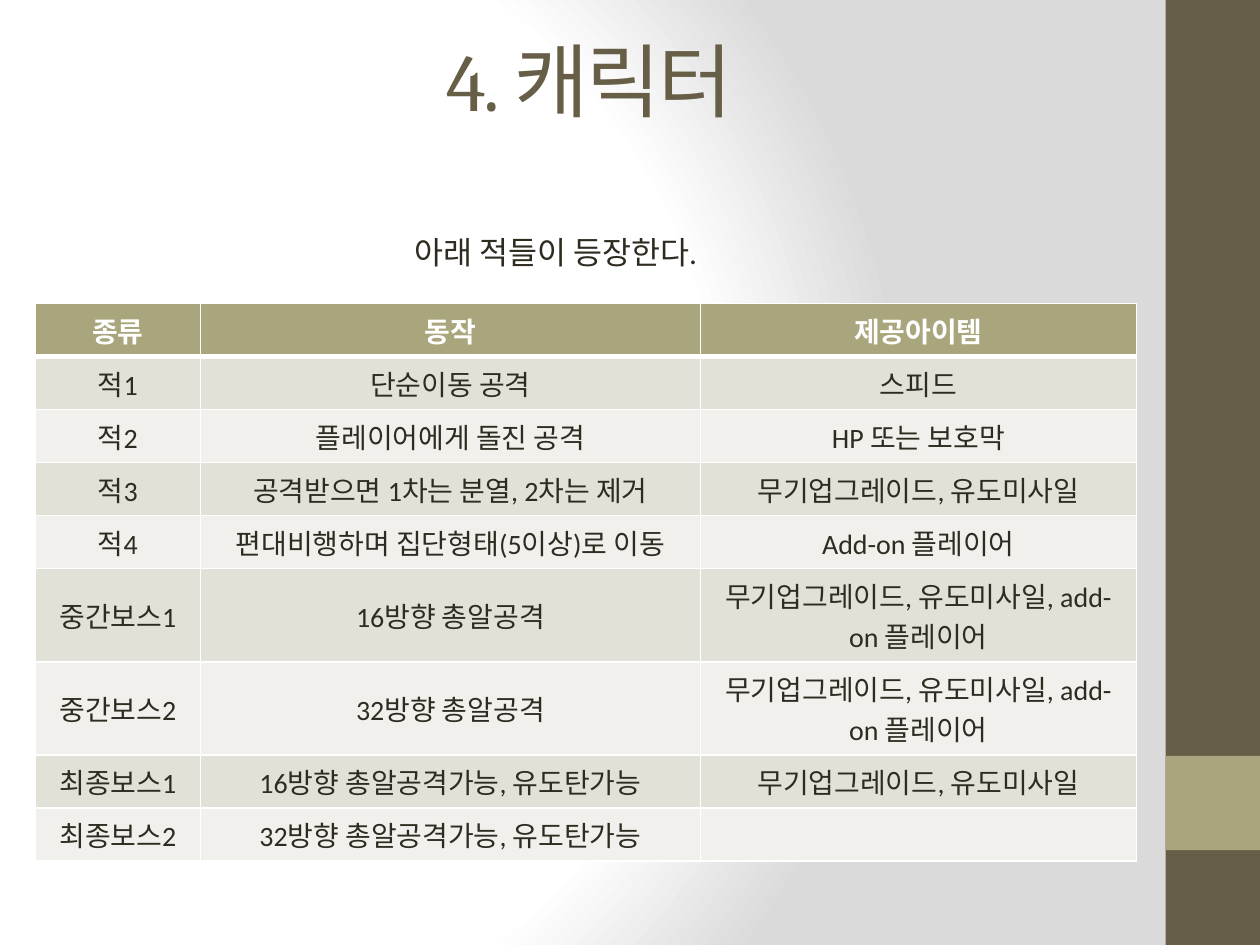
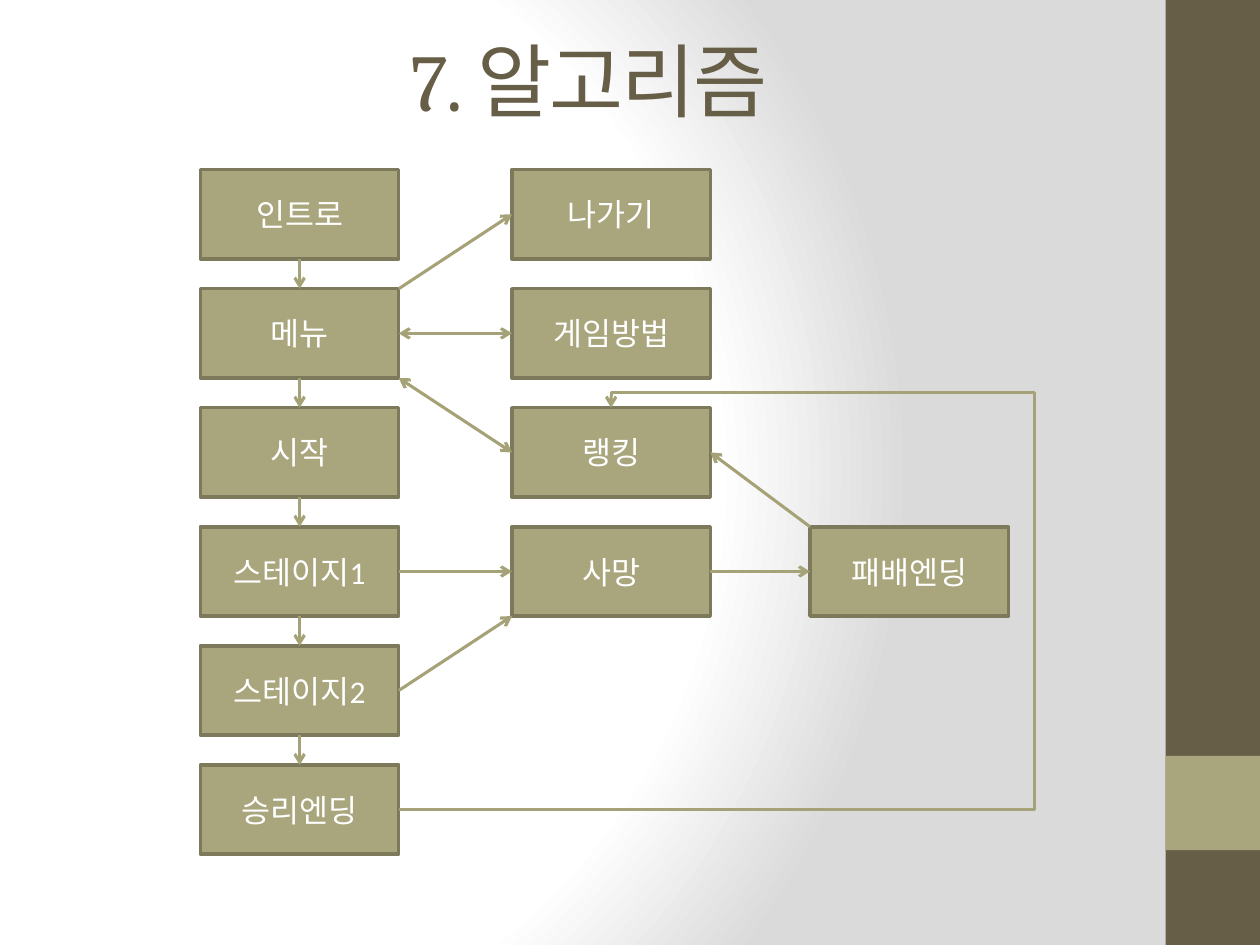
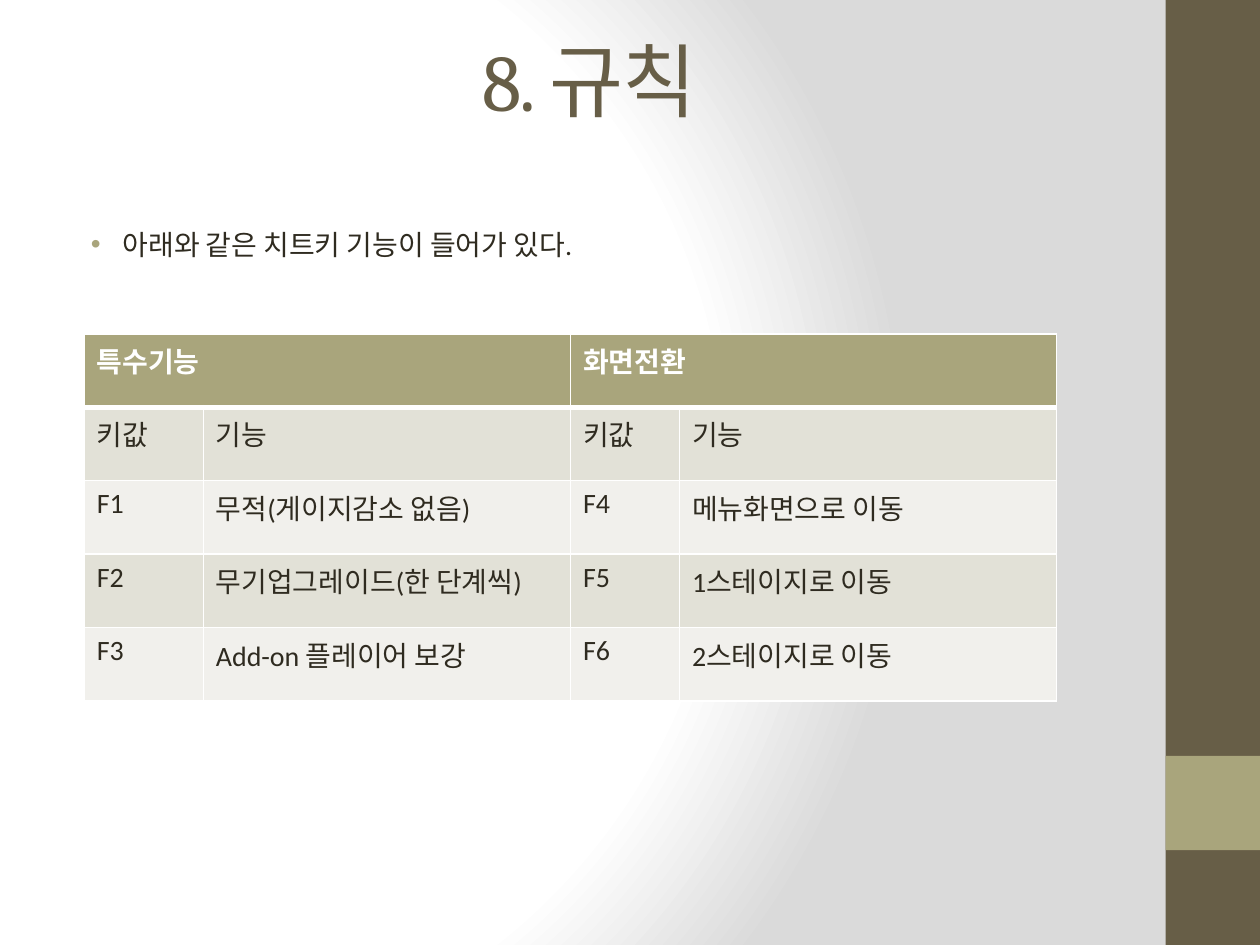
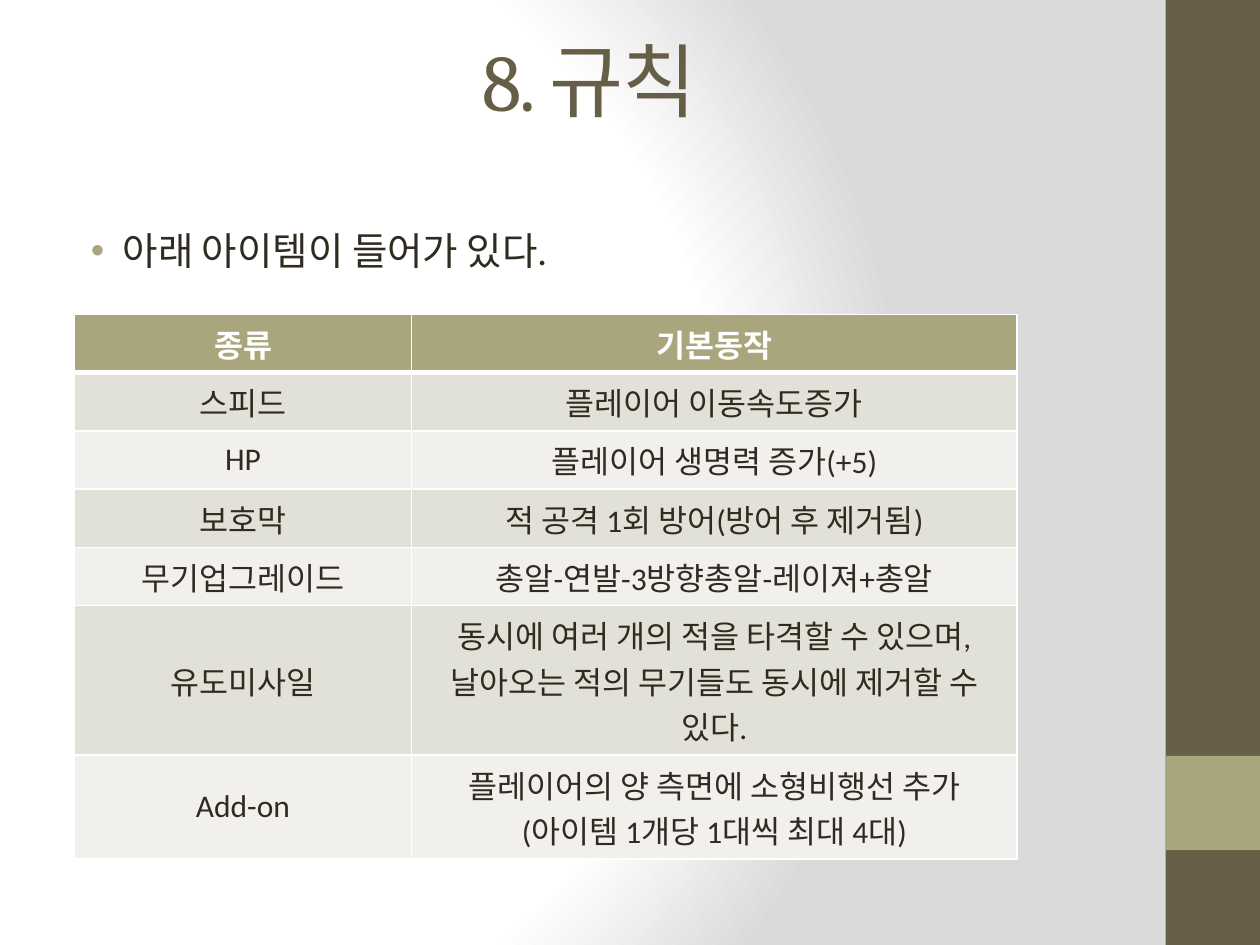
from lxml import etree
from pptx import Presentation
from pptx import util as u
from pptx.dml.color import RGBColor
from pptx.enum import shapes, text
from pptx.oxml import ns, parse_xml

# Shared look
BROWN = RGBColor(0x67, 0x5E, 0x47)
OLIVE = RGBColor(0xA9, 0xA5, 0x7C)
DARK_OLIVE = RGBColor(0x7D, 0x7A, 0x5C)
ARROW = RGBColor(0xA6, 0xA2, 0x78)
INK = RGBColor(0x2F, 0x2B, 0x20)
WHITE = RGBColor(0xFF, 0xFF, 0xFF)
GREY = RGBColor(0xDA, 0xDA, 0xDA)
ROW_FILLS = (RGBColor(0xE2, 0xE1, 0xD7), RGBColor(0xF1, 0xF0, 0xEC))
HEADING_FONT, TEXT_FONT = "Cambria", "Calibri"
CENTER, LEFT = text.PP_ALIGN.CENTER, text.PP_ALIGN.LEFT
MIDDLE, TOP = text.MSO_ANCHOR.MIDDLE, text.MSO_ANCHOR.TOP

# Boxes in cm: left, top, width, height
TITLE_BOX = (1.3, 0, 21.16, 3.18)
BODY_BOX = (1.27, 4.45, 21.16, 1.68)
CAPTION_BOX = (8.1, 4.57, 6.73, 1.02)
BANDS = [((23.5, 0, 1.9, 19.05), BROWN), ((23.5, 15.24, 1.9, 1.9), OLIVE)]

# Tables: None marks a cell covered by the one to its left
ENEMIES = {
    "at": (0.71, 6.12), "columns": (3.33, 10.08, 8.79), "heights": [1.04] * 9,
    "size": 16, "align": CENTER, "anchor": MIDDLE,
    "rows": [
        ("종류", "동작", "제공아이템"),
        ("적1", "단순이동 공격", "스피드"),
        ("적2", "플레이어에게 돌진 공격", "HP 또는 보호막"),
        ("적3", "공격받으면 1차는 분열, 2차는 제거", "무기업그레이드, 유도미사일"),
        ("적4", "편대비행하며 집단형태(5이상)로 이동", "Add-on 플레이어"),
        ("중간보스1", "16방향 총알공격", "무기업그레이드, 유도미사일, add-on 플레이어"),
        ("중간보스2", "32방향 총알공격", "무기업그레이드, 유도미사일, add-on 플레이어"),
        ("최종보스1", "16방향 총알공격가능, 유도탄가능", "무기업그레이드, 유도미사일"),
        ("최종보스2", "32방향 총알공격가능, 유도탄가능", ""),
    ],
}
CHEAT_KEYS = {
    "at": (1.7, 6.73), "columns": (2.4, 7.4, 2.2, 7.6), "heights": [1.48] * 5,
    "size": 16, "align": LEFT, "anchor": TOP,
    "rows": [
        ("특수기능", None, "화면전환", None),
        ("키값", "기능", "키값", "기능"),
        ("F1", "무적(게이지감소 없음)", "F4", "메뉴화면으로 이동"),
        ("F2", "무기업그레이드(한 단계씩)", "F5", "1스테이지로 이동"),
        ("F3", "Add-on 플레이어 보강", "F6", "2스테이지로 이동"),
    ],
}
ITEMS = {
    "at": (1.5, 6.34), "columns": (6.8, 12.2),
    "heights": [1.15] * 5 + [2.85, 1.98],
    "size": 18, "align": CENTER, "anchor": MIDDLE,
    "rows": [
        ("종류", "기본동작"),
        ("스피드", "플레이어 이동속도증가"),
        ("HP", "플레이어 생명력 증가(+5)"),
        ("보호막", "적 공격 1회 방어(방어 후 제거됨)"),
        ("무기업그레이드", "총알-연발-3방향총알-레이져+총알"),
        ("유도미사일", "동시에 여러 개의 적을 타격할 수 있으며, "
                  "날아오는 적의 무기들도 동시에 제거할 수 있다."),
        ("Add-on", "플레이어의 양 측면에 소형비행선 추가 "
                   "(아이템 1개당 1대씩 최대 4대)"),
    ],
}

# Flow chart: column left edge, first row, labels downwards
FLOW_COLUMNS = [
    (4.04, 0, ("인트로", "메뉴", "시작", "스테이지1", "스테이지2", "승리엔딩")),
    (10.32, 0, ("나가기", "게임방법", "랭킹", "사망")),
    (16.33, 3, ("패배엔딩",)),
]
FLOW_TOP, FLOW_PITCH, BOX_WIDTH, BOX_HEIGHT = 3.42, 2.4, 4.0, 1.8
ANCHORS = {
    "top": (0.5, 0), "bottom": (0.5, 1), "left": (0, 0.5), "right": (1, 0.5),
    "top left": (0, 0), "top right": (1, 0),
    "bottom left": (0, 1), "bottom right": (1, 1),
}
# From box, its anchor, to box, its anchor, arrow at both ends
FLOW_ARROWS = [
    (start, "bottom", end, "top", False)
    for start, end in zip(FLOW_COLUMNS[0][2], FLOW_COLUMNS[0][2][1:])
] + [
    ("메뉴", "top right", "나가기", "left", False),
    ("메뉴", "right", "게임방법", "left", True),
    ("메뉴", "bottom right", "랭킹", "left", True),
    ("스테이지1", "right", "사망", "left", False),
    ("스테이지2", "right", "사망", "bottom left", False),
    ("사망", "right", "패배엔딩", "left", False),
    ("패배엔딩", "top left", "랭킹", "right", False),
]
DETOUR_RIGHT, DETOUR_RISE = 20.85, 0.3


def cm(values):
    """Turn numbers into lengths."""
    return [u.Cm(value) for value in values]


def place(shape, box):
    """Move and size a shape."""
    shape.left, shape.top, shape.width, shape.height = cm(box)


def write(frame, words, size, color, font=TEXT_FONT, bold=False, align=None):
    """Write one formatted paragraph and return it."""
    frame.text = words
    paragraph = frame.paragraphs[0]
    paragraph.alignment = align
    for run in paragraph.runs:
        run.font.name, run.font.size, run.font.bold = font, u.Pt(size), bold
        run.font.color.rgb = color
    return paragraph


def add_child(parent, tag, **attributes):
    """Append a drawing element."""
    return etree.SubElement(parent, ns.qn(tag), attributes)


def add_block(slide, box, fill):
    """Draw a plain filled rectangle."""
    block = slide.shapes.add_shape(shapes.MSO_SHAPE.RECTANGLE, *cm(box))
    block.shadow.inherit = False
    block.fill.solid()
    block.fill.fore_color.rgb = fill
    block.line.fill.background()
    return block


def dress_master(presentation, slide):
    """Give the master its gradient background and side bands."""
    master = presentation.slide_master
    master.background.fill.solid()
    properties = master.element.find(".//" + ns.qn("p:bgPr"))
    stops = "".join(
        f'<a:gs pos="{position}000"><a:srgbClr val="{color}"/></a:gs>'
        for position, color in ((0, WHITE), (75, WHITE), (100, GREY)))
    gradient = parse_xml(
        f'<a:gradFill {ns.nsdecls("a")} rotWithShape="1"><a:gsLst>{stops}</a:gsLst>'
        '<a:path path="circle"><a:fillToRect l="20000" t="50000" r="100000" '
        'b="50000"/></a:path></a:gradFill>')
    properties.replace(properties[0], gradient)
    for index, (box, color) in enumerate(BANDS):
        element = add_block(slide, box, color)._element
        element.nvSpPr.cNvPr.id = 100 + index
        master.shapes._spTree.insert(2 + index, element)


def add_slide(presentation, title, layout="Title Only"):
    """Add a slide with the shared title style."""
    slide = presentation.slides.add_slide(
        presentation.slide_layouts.get_by_name(layout))
    place(slide.shapes.title, TITLE_BOX)
    frame = slide.shapes.title.text_frame
    frame.auto_size, frame.vertical_anchor = text.MSO_AUTO_SIZE.NONE, MIDDLE
    paragraph = write(frame, title, 46, BROWN, HEADING_FONT, align=CENTER)
    paragraph.runs[0].font._element.set("spc", "-100")
    return slide


def add_bullet_slide(presentation, title, words, size):
    """Add a slide with a title and one bulleted line."""
    slide = add_slide(presentation, title, "Title and Content")
    body = slide.placeholders[1]
    place(body, BODY_BOX)
    body.text_frame.auto_size = text.MSO_AUTO_SIZE.NONE
    properties = write(body.text_frame, words, size, INK)._p.get_or_add_pPr()
    properties.set("marL", str(u.Cm(0.95)))
    properties.set("indent", str(u.Cm(-0.64)))
    add_child(add_child(properties, "a:buClr"), "a:srgbClr", val=str(OLIVE))
    return slide


def set_borders(cell, row):
    """Draw white cell borders, thick below the header row."""
    properties = cell._tc.get_or_add_tcPr()
    widths = {"L": 1, "R": 1, "T": 3 if row == 1 else 1, "B": 3 if row == 0 else 1}
    for index, (side, width) in enumerate(widths.items()):
        line = add_child(properties, "a:ln" + side, w=str(u.Pt(width)))
        add_child(add_child(line, "a:solidFill"), "a:srgbClr", val=str(WHITE))
        properties.insert(index, line)


def add_table(slide, content):
    """Build a banded table from its description."""
    rows, columns, heights = content["rows"], content["columns"], content["heights"]
    table = slide.shapes.add_table(
        len(rows), len(columns),
        *cm((*content["at"], sum(columns), sum(heights)))).table
    for column, width in zip(table.columns, columns):
        column.width = u.Cm(width)
    for row, (words_list, height) in enumerate(zip(rows, heights)):
        table.rows[row].height = u.Cm(height)
        for column, words in enumerate(words_list):
            cell = table.cell(row, column)
            cell.fill.solid()
            cell.fill.fore_color.rgb = ROW_FILLS[(row - 1) % 2] if row else OLIVE
            cell.vertical_anchor = content["anchor"]
            set_borders(cell, row)
            if words is None:
                table.cell(row, column - 1).merge(cell)
            else:
                write(cell.text_frame, words, content["size"],
                      INK if row else WHITE, bold=row == 0, align=content["align"])


def add_arrow(slide, start, end, both=False, kind=shapes.MSO_CONNECTOR.STRAIGHT):
    """Draw an arrow between two points."""
    connector = slide.shapes.add_connector(kind, *cm((*start, *end)))
    connector.line.color.rgb = ARROW
    connector.line.width = u.Pt(1.75)
    line = connector.line._get_or_add_ln()
    if both:
        add_child(line, "a:headEnd", type="arrow")
    add_child(line, "a:tailEnd", type="arrow")
    add_child(connector._element.spPr, "a:effectLst")
    return connector


def add_detour(slide, start, end):
    """Draw an arrow that runs right, up, back and down to its end."""
    connector = add_arrow(slide, start, end, kind=shapes.MSO_CONNECTOR.ELBOW)
    geometry = connector._element.spPr.find(ns.qn("a:prstGeom"))
    geometry.set("prst", "bentConnector4")
    guides = geometry.find(ns.qn("a:avLst"))
    if guides is None:
        guides = add_child(geometry, "a:avLst")
    across = (DETOUR_RIGHT - start[0]) / (end[0] - start[0])
    up = 1 + DETOUR_RISE / (start[1] - end[1])
    for name, ratio in (("adj1", across), ("adj2", up)):
        add_child(guides, "a:gd", name=name, fmla=f"val {round(ratio * 100000)}")


def add_flow_chart(slide):
    """Draw the boxes of the game flow and the arrows between them."""
    corners = {}
    for left, first_row, labels in FLOW_COLUMNS:
        for row, label in enumerate(labels, first_row):
            corners[label] = left, FLOW_TOP + row * FLOW_PITCH
            box = add_block(slide, (*corners[label], BOX_WIDTH, BOX_HEIGHT), OLIVE)
            box.line.color.rgb = DARK_OLIVE
            box.line.width = u.Pt(2)
            box.text_frame.vertical_anchor = MIDDLE
            write(box.text_frame, label, 18, WHITE, align=CENTER)

    def point(label, anchor):
        """Find an anchor point of a box."""
        (left, top), (across, down) = corners[label], ANCHORS[anchor]
        return left + across * BOX_WIDTH, top + down * BOX_HEIGHT

    for start, start_anchor, end, end_anchor, both in FLOW_ARROWS:
        add_arrow(slide, point(start, start_anchor), point(end, end_anchor), both)
    add_detour(slide, point("승리엔딩", "right"), point("랭킹", "top"))


def add_caption(slide, words):
    """Add a line of text that does not wrap."""
    frame = slide.shapes.add_textbox(*cm(CAPTION_BOX)).text_frame
    frame.word_wrap = False
    frame.auto_size = text.MSO_AUTO_SIZE.SHAPE_TO_FIT_TEXT
    write(frame, words, 18, INK)


def main():
    """Build and save the presentation."""
    presentation = Presentation()
    presentation.slide_width, presentation.slide_height = cm((25.4, 19.05))

    slide = add_slide(presentation, "4. 캐릭터")
    dress_master(presentation, slide)
    add_table(slide, ENEMIES)
    add_caption(slide, "아래 적들이 등장한다.")

    add_flow_chart(add_slide(presentation, "7. 알고리즘"))

    slide = add_bullet_slide(
        presentation, "8. 규칙", "아래와 같은 치트키 기능이 들어가 있다.", 16)
    add_table(slide, CHEAT_KEYS)

    slide = add_bullet_slide(
        presentation, "8. 규칙", "아래 아이템이 들어가 있다.", 22)
    add_table(slide, ITEMS)

    presentation.save("out.pptx")


main()
